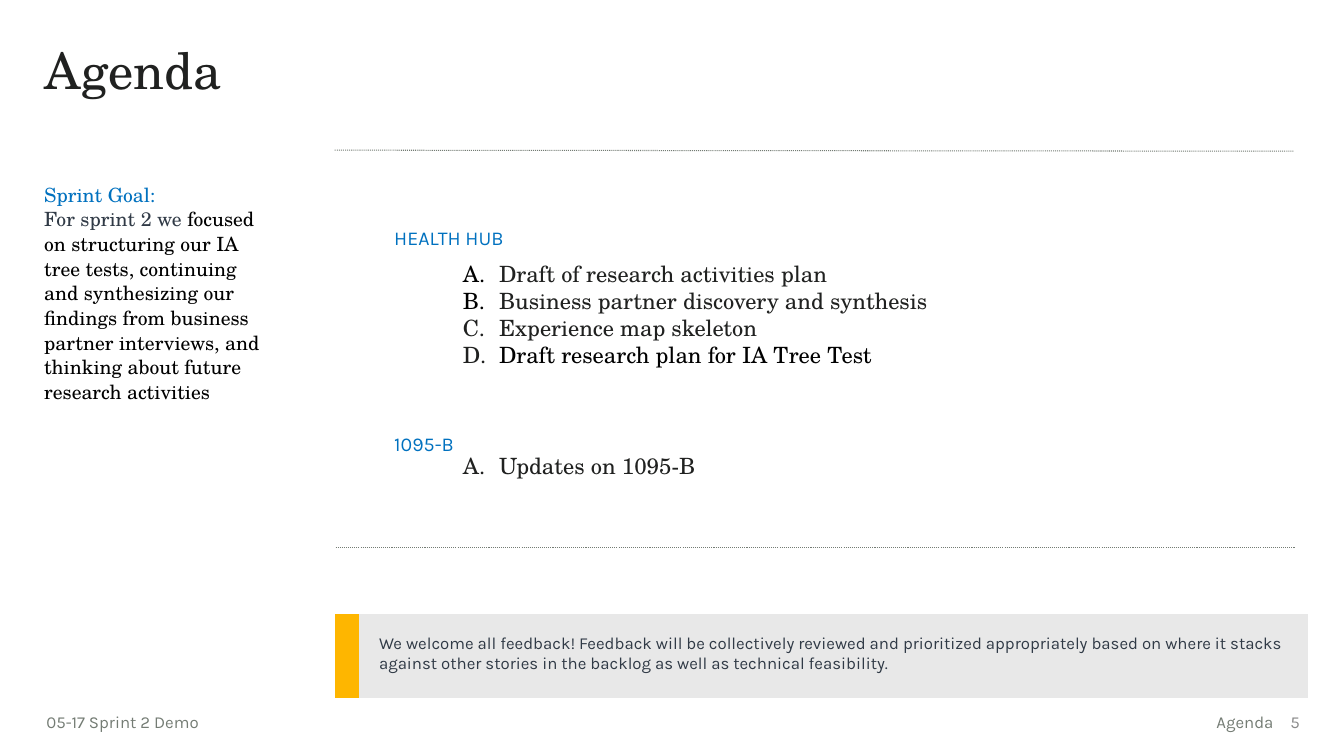
import pptx
import pptx.dml.color
import pptx.enum.dml
import pptx.enum.shapes
import pptx.enum.text
import pptx.oxml
import pptx.oxml.ns
import pptx.util
from pptx.util import Inches

COLORS = {"ink": "202120", "black": "000000", "slate": "303A46", "blue": "0071BF",
          "gray": "747C74", "page": "8A8A8A", "gold": "FEB600", "panel": "E8E8E8"}
SERIF, SANS = "TeX Gyre Schola", "Karla"
ALIGN = pptx.enum.text.PP_ALIGN
ANCHOR = pptx.enum.text.MSO_ANCHOR
NO_GRID_STYLE = "{2D5ABB26-0587-4C30-8999-92F81FD0307C}"


def rgb(name):
    """Return the named palette colour."""
    return pptx.dml.color.RGBColor.from_string(COLORS[name])


def add_letter(paragraph, color):
    """Number a paragraph with a coloured capital letter."""
    properties = paragraph._p.get_or_add_pPr()
    properties.set("marL", str(Inches(0.5)))
    properties.set("indent", str(Inches(-0.36)))
    namespace = pptx.oxml.ns.nsdecls("a")
    for markup in (
            f'<a:buClr {namespace}><a:srgbClr val="{COLORS[color]}"/></a:buClr>',
            f'<a:buFont {namespace} typeface="{SERIF}"/>',
            f'<a:buAutoNum {namespace} type="alphaUcPeriod"/>'):
        properties.append(pptx.oxml.parse_xml(markup))


def write(frame, paragraphs, size, font=SANS, align=ALIGN.LEFT, anchor=ANCHOR.TOP,
          spacing=1.0, margins=(0.1, 0.05, 0.1, 0.05), letters=()):
    """Fill a text frame with paragraphs made of (text, colour) runs."""
    frame.word_wrap = True
    frame.auto_size = pptx.enum.text.MSO_AUTO_SIZE.NONE
    frame.vertical_anchor = anchor
    (frame.margin_left, frame.margin_top,
     frame.margin_right, frame.margin_bottom) = map(Inches, margins)
    for index, runs in enumerate(paragraphs):
        paragraph = frame.add_paragraph() if index else frame.paragraphs[0]
        if letters:
            add_letter(paragraph, letters[index])
        paragraph.alignment = align
        paragraph.line_spacing = spacing
        paragraph.space_before = pptx.util.Pt(0)
        for text, color in runs:
            run = paragraph.add_run()
            run.text = text
            run.font.size = pptx.util.Pt(size)
            run.font.name = font
            run.font.color.rgb = rgb(color)


def place(shape, left, top, width, height):
    """Move a placeholder to a position and size in inches."""
    shape.left, shape.top = Inches(left), Inches(top)
    shape.width, shape.height = Inches(width), Inches(height)


def add_text(slide, box, paragraphs, size, **style):
    """Add a text box at a position in inches."""
    label = slide.shapes.add_textbox(*map(Inches, box))
    write(label.text_frame, paragraphs, size, **style)


def add_dotted_rule(slide, left, top, right, bottom):
    """Draw a thin dotted divider."""
    rule = slide.shapes.add_connector(pptx.enum.shapes.MSO_CONNECTOR.STRAIGHT,
                                      *map(Inches, (left, top, right, bottom)))
    rule.line.color.rgb = rgb("gray")
    rule.line.width = pptx.util.Pt(0.75)
    rule.line.dash_style = pptx.enum.dml.MSO_LINE.ROUND_DOT
    rule._element.spPr.append(
        pptx.oxml.parse_xml(f'<a:effectLst {pptx.oxml.ns.nsdecls("a")}/>'))


def add_callout(slide, message):
    """Add the feedback table with its gold edge."""
    callout = slide.shapes.add_table(
        1, 2, Inches(3.32), Inches(6.09), Inches(9.54), Inches(0.83)).table
    callout.first_row = callout.horz_banding = False
    callout._tbl.tblPr.find(pptx.oxml.ns.qn("a:tableStyleId")).text = NO_GRID_STYLE
    for index, (width, color) in enumerate(((0.13, "gold"), (9.41, "panel"))):
        callout.columns[index].width = Inches(width)
        cell = callout.cell(0, index)
        cell.fill.solid()
        cell.fill.fore_color.rgb = rgb(color)
    cell.margin_left = cell.margin_right = Inches(0.2)
    cell.margin_top = cell.margin_bottom = Inches(0.2)
    run = cell.text_frame.paragraphs[0].add_run()
    run.text = message
    run.font.size = pptx.util.Pt(12)
    run.font.name = SANS
    run.font.color.rgb = rgb("slate")


def main():
    """Build the agenda slide."""
    deck = pptx.Presentation()
    deck.slide_width, deck.slide_height = Inches(13.33), Inches(7.5)
    slide = deck.slides.add_slide(deck.slide_layouts[1])

    title, hub_list = slide.placeholders
    place(title, 0.34, 0.41, 7.13, 0.82)
    write(title.text_frame, [[("Agenda", "ink")]], 36, font=SERIF, spacing=0.9)

    add_text(slide, (0.34, 1.75, 2.47, 2.39), [
        [("Sprint Goal:", "blue")],
        [("For sprint 2 we ", "slate"),
         ("focused on structuring our IA tree tests, continuing and synthesizing our "
          "findings from business partner interviews, and thinking about future "
          "research activities", "black")],
    ], 14, font=SERIF, spacing=1.05)

    add_dotted_rule(slide, 3.32, 1.49, 12.83, 1.5)
    add_dotted_rule(slide, 3.33, 5.43, 12.84, 5.43)

    for heading, top in (("HEALTH HUB", 2.19), ("1095-B", 4.24)):
        add_text(slide, (3.91, top, 5.28, 0.4), [[(heading, "blue")]], 14,
                 margins=(0, 0.05, 0, 0.05))

    list_style = {"font": SERIF, "margins": (0, 0, 0, 0)}
    place(hub_list, 4.45, 2.58, 6.8, 1.4)
    write(hub_list.text_frame, [
        [("Draft of research activities plan", "ink")],
        [("Business partner discovery and synthesis", "ink")],
        [("Experience map skeleton", "ink")],
        [("Draft research plan for IA Tree Test", "black")],
    ], 16, letters=("black", "black", "ink", "ink"), **list_style)
    add_text(slide, (4.45, 4.49, 6.8, 0.27), [[("Updates on 1095-B", "ink")]], 16,
             letters=("ink",), **list_style)

    add_callout(slide, "We welcome all feedback! Feedback will be collectively reviewed and "
                       "prioritized appropriately based on where it stacks against other "
                       "stories in the backlog as well as technical feasibility.")

    add_text(slide, (0.46, 7.01, 2.98, 0.3), [[("05-17 Sprint 2 Demo", "gray")]], 12,
             margins=(0, 0.05, 0.1, 0.05))
    add_text(slide, (9.75, 7.01, 2.98, 0.3), [[("Agenda", "gray")]], 12, align=ALIGN.RIGHT)
    add_text(slide, (12.55, 6.96, 0.44, 0.4), [[("5", "page")]], 12,
             align=ALIGN.RIGHT, anchor=ANCHOR.MIDDLE)
    deck.save("out.pptx")


if __name__ == "__main__":
    main()
